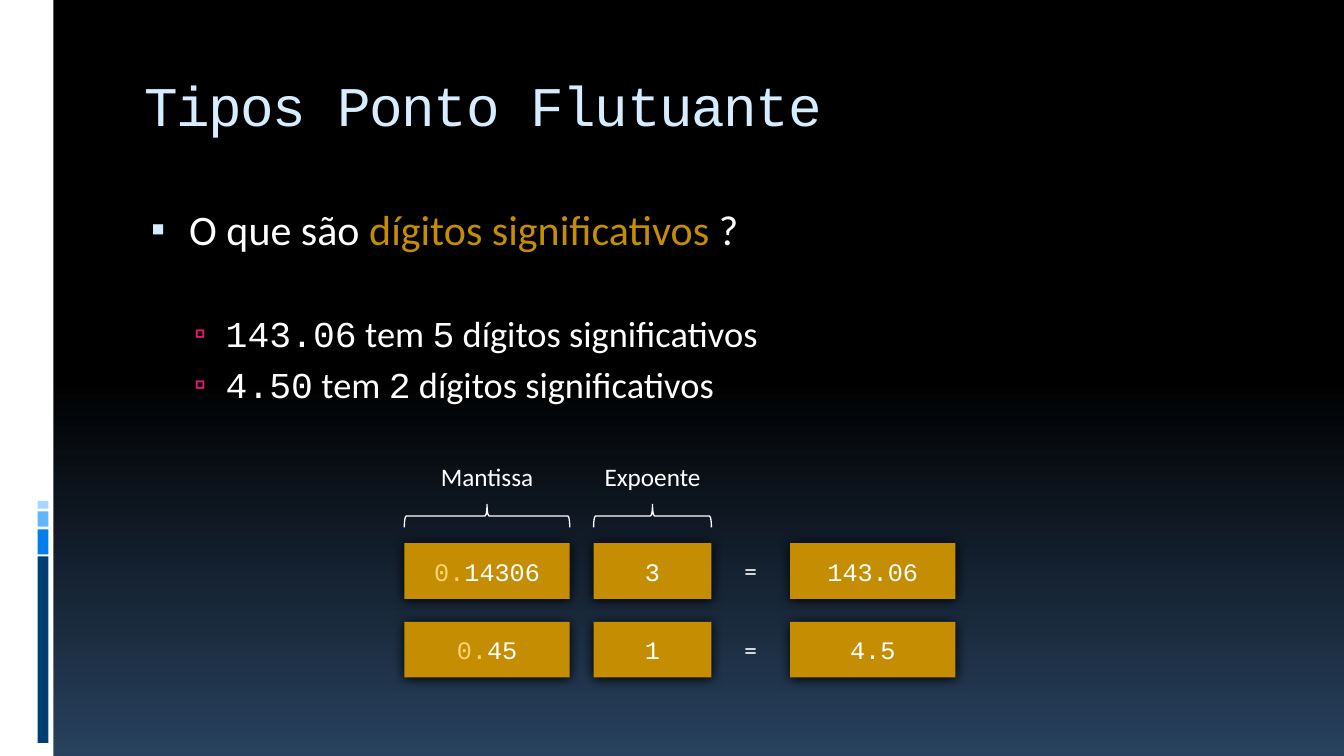
from dataclasses import dataclass

from lxml.etree import SubElement as Sub
from pptx import Presentation
from pptx.dml.color import RGBColor as Rgb
from pptx.enum.shapes import MSO_SHAPE as Kind
from pptx.enum.text import MSO_ANCHOR as Anchor, PP_ALIGN as Align
from pptx.oxml.ns import qn
from pptx.util import Cm, Pt


@dataclass(frozen=True)
class Theme:
    white: str = "FFFFFF"
    black: str = "000000"
    navy: str = "28415E"
    ice: str = "D6ECFF"
    gold: str = "C58D01"
    pale: str = "FED46C"
    pink: str = "EA157A"
    sans: str = "Calibri"
    mono: str = "Courier New"
    title: int = 40
    lead: int = 30
    item: int = 26
    small: int = 18


@dataclass(frozen=True)
class Bar:
    left: float
    top: float
    width: float
    height: float
    fill: str


@dataclass(frozen=True)
class Col:
    left: float
    width: float
    label: str = ""

    @property
    def mid(self) -> float:
        return self.left + self.width / 2


@dataclass(frozen=True)
class Mark:
    sign: str
    fill: str
    size: int
    left: float
    hang: float
    level: int = 0


@dataclass(frozen=True)
class Sum:
    digits: str
    power: str
    value: str


T = Theme()
BARS = [
    Bar(0, 0, 1.35, 19.05, T.white),
    Bar(0.95, 14.02, 0.27, 4.7, "003F75"),
    Bar(0.95, 13.34, 0.27, 0.63, "007EEB"),
    Bar(0.95, 12.89, 0.27, 0.38, "61B6FF"),
    Bar(0.95, 12.62, 0.27, 0.2, "A7D6FF"),
]
COLS = [Col(10.19, 4.17, "Mantissa"), Col(14.96, 2.97, "Expoente"), Col(19.91, 4.17)]
SUMS = [Sum("14306", "3", "143.06"), Sum("45", "1", "4.5")]
FACTS = [("143.06", "5", 41), ("4.50", "2", 5.2)]
LEAD = Mark("▪", T.ice, 95, 1.14, 0.96)
ITEM = Mark("▫", T.pink, 90, 2.06, 0.79, 1)
ROW_TOP, ROW_STEP, ROW_TALL = 13.69, 1.98, 1.4
BRACE_MID, BRACE_DEEP = 13.0, 0.58
SIGN_MID = (COLS[1].left + COLS[1].width + COLS[2].left) / 2


def write(para, text: str, *, font: str = T.sans, size: int = T.small,
          fill: str = T.white, space: int = 0) -> None:
    run = para.add_run()
    run.text = text
    run.font.name, run.font.size = font, Pt(size)
    run.font.color.rgb = Rgb.from_string(fill)
    if space:
        run.font._element.set("spc", str(space))


def bullet(para, mark: Mark, before: float = 0) -> None:
    para.level = mark.level
    props = para._p.get_or_add_pPr()
    props.set("marL", str(Cm(mark.left)))
    props.set("indent", str(-Cm(mark.hang)))
    Sub(Sub(props, qn("a:buClr")), qn("a:srgbClr"), val=mark.fill)
    Sub(props, qn("a:buSzPct"), val=str(mark.size * 1000))
    Sub(props, qn("a:buFont"), typeface=T.sans)
    Sub(props, qn("a:buChar"), char=mark.sign)
    para.space_before = Pt(before)


def block(slide, bar: Bar):
    shape = slide.shapes.add_shape(
        Kind.RECTANGLE, Cm(bar.left), Cm(bar.top), Cm(bar.width), Cm(bar.height))
    shape.shadow.inherit = False
    shape.fill.solid()
    shape.fill.fore_color.rgb = Rgb.from_string(bar.fill)
    shape.line.fill.background()
    return shape


def cell(slide, col: Col, top: float, text: str, faint: str = "") -> None:
    shape = block(slide, Bar(col.left, top, col.width, ROW_TALL, T.gold))
    glow = Sub(shape._element.spPr.find(qn("a:effectLst")), qn("a:outerShdw"),
               blurRad=str(Pt(8.5)), dist=str(Pt(1)), dir="5400000", rotWithShape="0")
    Sub(glow, qn("a:srgbClr"), val=T.black)
    shape.text_frame.vertical_anchor = Anchor.MIDDLE
    para = shape.text_frame.paragraphs[0]
    para.alignment = Align.CENTER
    if faint:
        write(para, faint, font=T.mono, fill=T.pale)
    write(para, text, font=T.mono)


def label(slide, mid: float, top: float, width: float, text: str) -> None:
    box = slide.shapes.add_textbox(Cm(mid - width / 2), Cm(top), Cm(width), Cm(1.02))
    box.text_frame.word_wrap = False
    para = box.text_frame.paragraphs[0]
    para.alignment = Align.CENTER
    write(para, text)


def brace(slide, col: Col) -> None:
    shape = slide.shapes.add_shape(
        Kind.RIGHT_BRACE, Cm(col.mid - BRACE_DEEP / 2), Cm(BRACE_MID - col.width / 2),
        Cm(BRACE_DEEP), Cm(col.width))
    shape.shadow.inherit = False
    shape.fill.background()
    shape.line.color.rgb = Rgb.from_string(T.white)
    shape.line.width = Pt(0.94)
    shape.rotation = 90
    shape._element.spPr.find(qn("a:xfrm")).set("flipH", "1")


def back(slide) -> None:
    fill = slide.background.fill
    fill.gradient()
    fill.gradient_angle = 270
    for stop, (place, tone) in zip(fill.gradient_stops, [(0.5, T.black), (1, T.navy)]):
        stop.position = place
        stop.color.rgb = Rgb.from_string(tone)


def head(slide) -> None:
    title = slide.shapes.title
    title.left, title.top, title.width, title.height = Cm(3.38), Cm(1.42), Cm(28.78), Cm(2.54)
    frame = title.text_frame
    frame.vertical_anchor = Anchor.MIDDLE
    frame.margin_bottom = Cm(0.25)
    frame.paragraphs[0].alignment = Align.LEFT
    write(frame.paragraphs[0], "Tipos Ponto Flutuante", font=T.mono,
          size=T.title, fill=T.ice, space=-100)


def body(slide) -> None:
    frame = slide.shapes.add_textbox(Cm(3.38), Cm(5), Cm(28.78), Cm(12.7)).text_frame
    frame.word_wrap = True
    para = frame.paragraphs[0]
    bullet(para, LEAD)
    write(para, "O que são ", size=T.lead)
    write(para, "dígitos significativos", size=T.lead, fill=T.gold)
    write(para, " ?", size=T.lead)
    for value, count, before in FACTS:
        para = frame.add_paragraph()
        bullet(para, ITEM, before)
        write(para, value, font=T.mono, size=T.item)
        write(para, " tem ", size=T.item)
        write(para, count, font=T.mono, size=T.item)
        write(para, " dígitos significativos", size=T.item)


def chart(slide) -> None:
    for row, item in enumerate(SUMS):
        top = ROW_TOP + row * ROW_STEP
        cell(slide, COLS[0], top, item.digits, "0.")
        cell(slide, COLS[1], top, item.power)
        cell(slide, COLS[2], top, item.value)
        label(slide, SIGN_MID, top + 0.18, 0.84, "=")
    for col in COLS[:2]:
        brace(slide, col)
        label(slide, col.mid, 11.51, 3, col.label)


def main() -> None:
    deck = Presentation()
    deck.slide_width, deck.slide_height = Cm(33.87), Cm(19.05)
    slide = deck.slides.add_slide(deck.slide_layouts[5])
    back(slide)
    for bar in BARS:
        block(slide, bar)
    head(slide)
    body(slide)
    chart(slide)
    deck.save("out.pptx")


if __name__ == "__main__":
    main()
